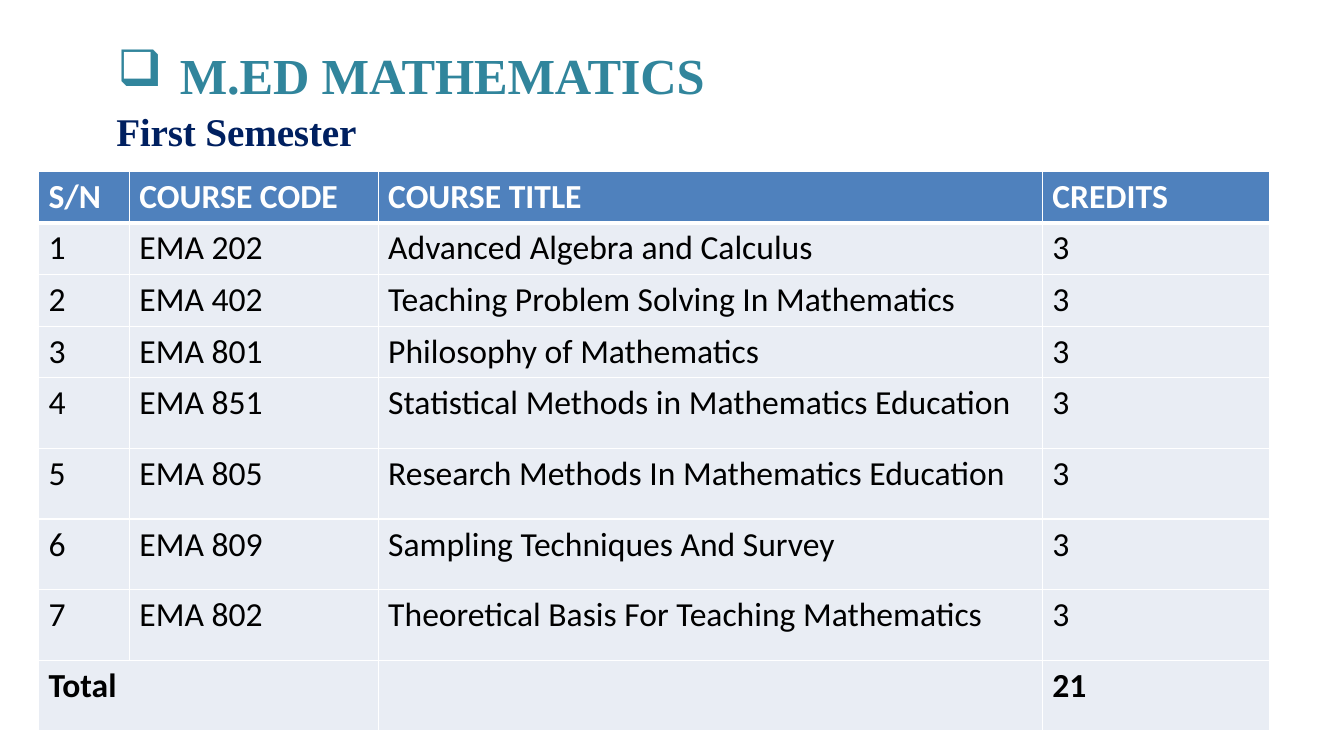
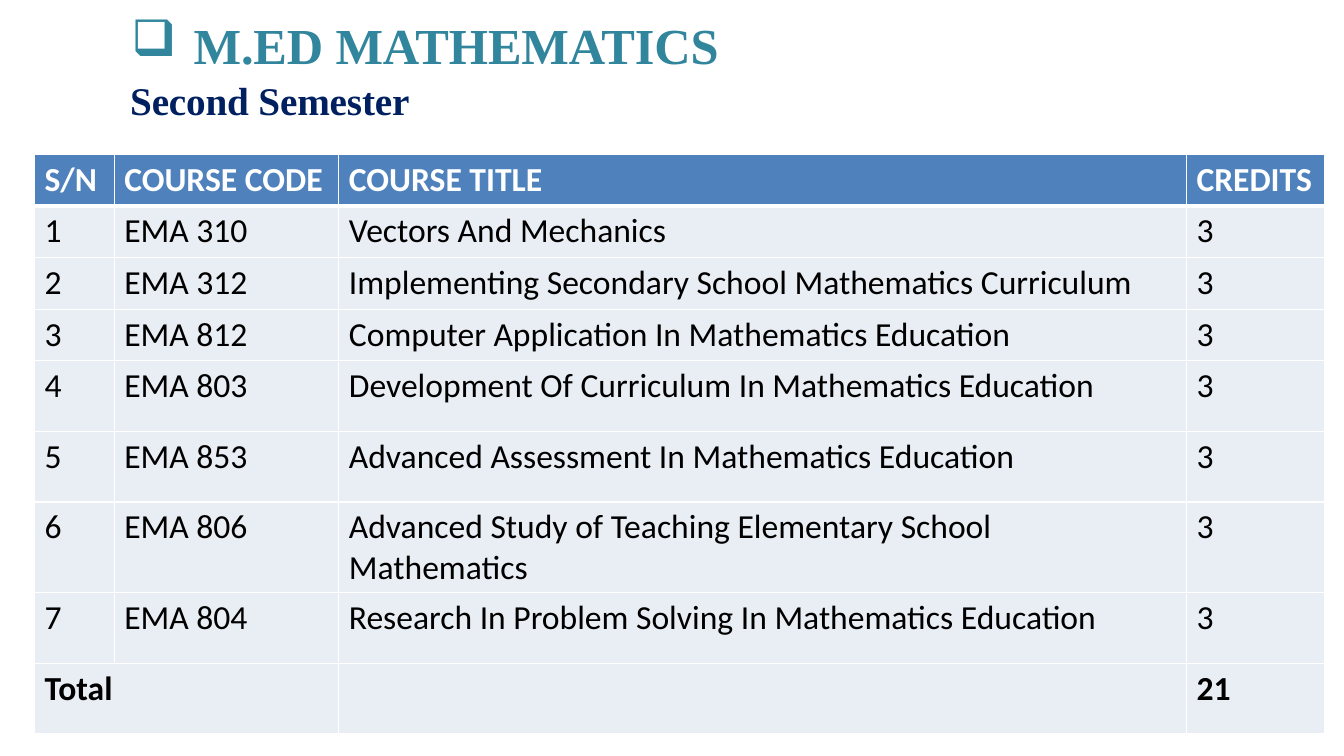
"""Build two slides listing the M.Ed Mathematics courses by semester."""
from lxml import etree
from pptx import Presentation
from pptx.dml.color import RGBColor
from pptx.enum.text import MSO_ANCHOR, MSO_AUTO_SIZE, PP_ALIGN
from pptx.oxml.ns import qn
from pptx.util import Cm, Pt

TOP = MSO_ANCHOR.TOP
GROW = MSO_AUTO_SIZE.SHAPE_TO_FIT_TEXT
LEFT, JUSTIFY = PP_ALIGN.LEFT, PP_ALIGN.JUSTIFY

COLORS = {
    "heading": "31859C",
    "semester": "002060",
    "header": "4F81BD",
    "row": "E9EDF4",
    "white": "FFFFFF",
    "black": "000000",
}
HEADING_FONT, TABLE_FONT = "Times New Roman", "Calibri"
TITLE_ONLY = 5
HEADING = "M.ED MATHEMATICS"
COLUMNS = ("S/N", "COURSE CODE", "COURSE TITLE", "CREDITS")
CREDITS = 3
SHORT_ROW, TALL_ROW = 1.3, 1.78
SHORT_ROWS = 4

SEMESTERS = [
    {
        "name": "First Semester",
        "title_at": (0.97, 0.76),
        "table_at": (0.97, 4.32),
        "widths": (2.29, 6.27, 16.74, 5.72),
        "courses": [
            ("EMA 202", "Advanced Algebra and Calculus"),
            ("EMA 402", "Teaching Problem Solving In Mathematics"),
            ("EMA 801", "Philosophy of Mathematics"),
            ("EMA 851", "Statistical Methods in Mathematics Education"),
            ("EMA 805", "Research Methods In Mathematics Education"),
            ("EMA 809", "Sampling Techniques And Survey"),
            ("EMA 802", "Theoretical Basis For Teaching Mathematics"),
        ],
    },
    {
        "name": "Second Semester",
        "title_at": (1.32, 0),
        "table_at": (0.87, 3.89),
        "widths": (2.01, 5.66, 21.36, 3.48),
        "courses": [
            ("EMA 310", "Vectors And Mechanics"),
            ("EMA 312", "Implementing Secondary School Mathematics Curriculum"),
            ("EMA 812", "Computer Application In Mathematics Education"),
            ("EMA 803", "Development Of Curriculum In Mathematics Education"),
            ("EMA 853", "Advanced Assessment In Mathematics Education"),
            ("EMA 806", "Advanced Study of Teaching Elementary School Mathematics"),
            ("EMA 804", "Research In Problem Solving In Mathematics Education"),
        ],
    },
]


def write_text(para, text, size=24, font=TABLE_FONT, color="black", bold=False, spacing=0):
    span = para.add_run()
    span.text = text
    span.font.size = Pt(size)
    span.font.name = font
    span.font.bold = bold
    span.font.color.rgb = RGBColor.from_string(COLORS[color])
    if spacing:
        span.font._element.set("spc", str(round(spacing * 100)))


def format_paragraph(para, align, margin, indent=0, bullet=None):
    para.alignment = align
    para.space_before = Pt(1.4)
    properties = para._p.get_or_add_pPr()
    properties.set("marL", str(Cm(margin)))
    properties.set("indent", str(Cm(indent)))
    if bullet:
        etree.SubElement(properties, qn("a:buChar")).set("char", bullet)


def add_title(page, semester):
    box = page.shapes.title
    left, top = semester["title_at"]
    box.left, box.top, box.width, box.height = Cm(left), Cm(top), Cm(32.06), Cm(3.12)
    frame = box.text_frame
    frame.word_wrap = True
    frame.auto_size = GROW
    frame.vertical_anchor = TOP
    frame.margin_left = frame.margin_right = frame.margin_bottom = 0
    frame.margin_top = Cm(0.36)

    heading = frame.paragraphs[0]
    format_paragraph(heading, LEFT, 3.56, indent=-1.57, bullet="❑")
    write_text(heading, HEADING, size=36, font=HEADING_FONT, color="heading",
               bold=True, spacing=-0.1)
    subheading = frame.add_paragraph()
    format_paragraph(subheading, JUSTIFY, 1.96)
    write_text(subheading, semester["name"], size=28, font=HEADING_FONT,
               color="semester", bold=True, spacing=-0.1)


def set_borders(cell, top, bottom):
    properties = cell._tc.get_or_add_tcPr()
    for side, width in (("L", 1), ("R", 1), ("T", top), ("B", bottom)):
        line = etree.SubElement(properties, qn(f"a:ln{side}"), w=str(Pt(width)))
        fill = etree.SubElement(line, qn("a:solidFill"))
        etree.SubElement(fill, qn("a:srgbClr"), val=COLORS["white"])


def add_course_table(page, semester):
    courses = semester["courses"]
    rows = [COLUMNS]
    rows += [(str(number), code, title, str(CREDITS))
             for number, (code, title) in enumerate(courses, 1)]
    rows.append(("Total", "", "", str(CREDITS * len(courses))))
    heights = [SHORT_ROW if index < SHORT_ROWS else TALL_ROW for index in range(len(rows))]
    left, top = semester["table_at"]
    table = page.shapes.add_table(
        len(rows), len(COLUMNS), Cm(left), Cm(top),
        Cm(sum(semester["widths"])), Cm(sum(heights))).table
    table.horz_banding = False
    for column, width in zip(table.columns, semester["widths"]):
        column.width = Cm(width)

    last = len(rows) - 1
    for index, (values, height) in enumerate(zip(rows, heights)):
        table.rows[index].height = Cm(height)
        is_header = index == 0
        for cell, value in zip(table.rows[index].cells, values):
            set_borders(cell, top=3 if index == 1 else 1, bottom=3 if is_header else 1)
            cell.fill.solid()
            cell.fill.fore_color.rgb = RGBColor.from_string(
                COLORS["header" if is_header else "row"])
            if value:
                write_text(cell.text_frame.paragraphs[0], value,
                           color="white" if is_header else "black",
                           bold=index in (0, last))
    table.cell(last, 0).merge(table.cell(last, 1))


def main():
    deck = Presentation()
    deck.slide_width, deck.slide_height = Cm(33.87), Cm(19.05)
    for semester in SEMESTERS:
        page = deck.slides.add_slide(deck.slide_layouts[TITLE_ONLY])
        add_title(page, semester)
        add_course_table(page, semester)
    deck.save("out.pptx")


if __name__ == "__main__":
    main()
